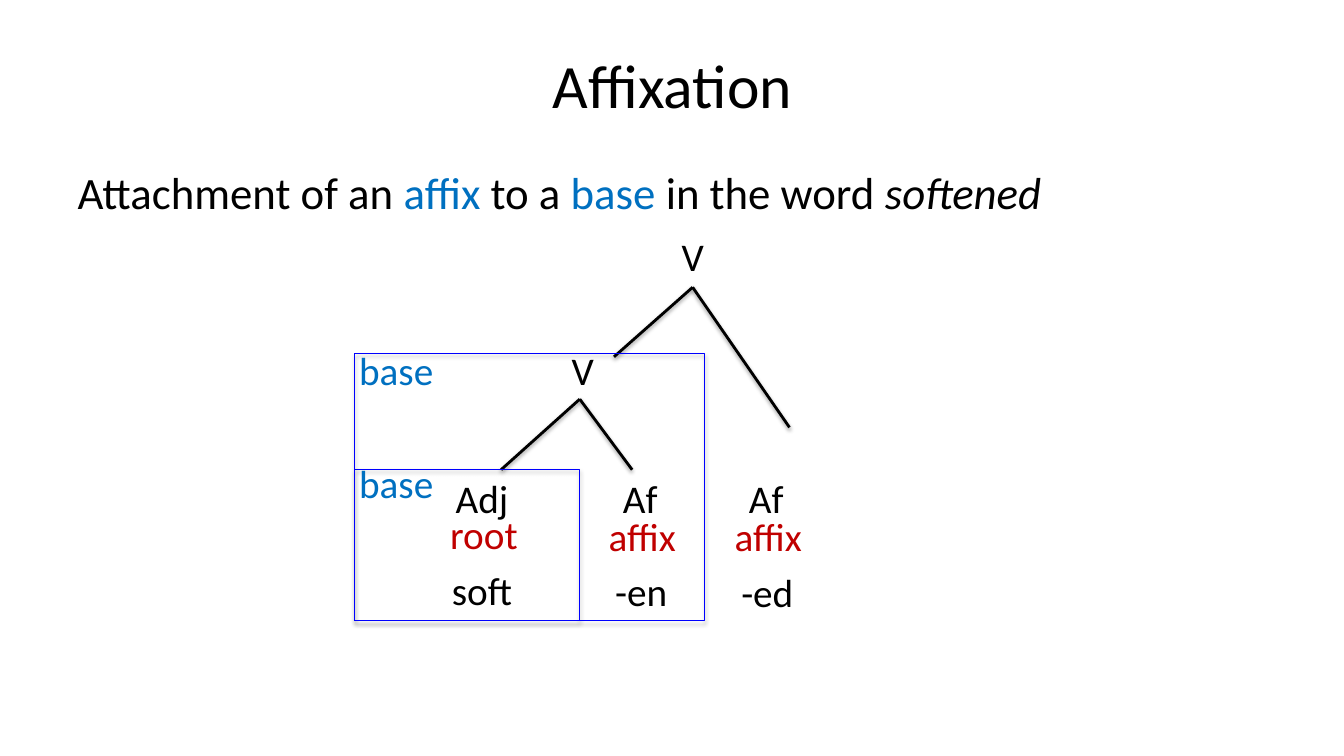
import pptx
import pptx.util
import pptx.dml.color
import pptx.enum.text
import pptx.enum.shapes
import pptx.oxml
import pptx.oxml.ns

Inches, Pt = pptx.util.Inches, pptx.util.Pt
align = pptx.enum.text.PP_ALIGN
hues = {"ink": "000000", "blue": "0070C0", "red": "C00000", "frame": "0000FF"}


def add_run(para, text, size, hue="ink", slant=None):
    run = para.add_run()
    run.text = text
    font = run.font
    font.name, font.size, font.italic = "Calibri", Pt(size), slant
    font.color.rgb = pptx.dml.color.RGBColor.from_string(hues[hue])


def style_line(shape, hue, width, drop, alpha):
    shape.line.color.rgb = pptx.dml.color.RGBColor.from_string(hues[hue])
    shape.line.width = Pt(width)
    shape._element.spPr.append(pptx.oxml.parse_xml(
        f'<a:effectLst {pptx.oxml.ns.nsdecls("a")}>'
        f'<a:outerShdw blurRad="{Pt(3.1)}" dist="{Pt(drop)}" dir="5400000" rotWithShape="0">'
        f'<a:srgbClr val="{hues["ink"]}"><a:alpha val="{alpha}000"/></a:srgbClr>'
        '</a:outerShdw></a:effectLst>'))


deck = pptx.Presentation()
deck.slide_width, deck.slide_height = Inches(13.33), Inches(7.5)
slide = deck.slides.add_slide(deck.slide_layouts[1])
shapes = slide.shapes

title, body = shapes.title, slide.placeholders[1]
for holder, top, height in [(title, 0.3, 1.06), (body, 1.58, 5.12)]:
    holder.left, holder.top = Inches(0.67), Inches(top)
    holder.width, holder.height = Inches(12), Inches(height)

title.text_frame.vertical_anchor = pptx.enum.text.MSO_ANCHOR.MIDDLE
head = title.text_frame.paragraphs[0]
head.alignment = align.CENTER
add_run(head, "Affixation", 44)

lead = body.text_frame.paragraphs[0]
props = lead._p.get_or_add_pPr()
props.set("marL", "0")
props.set("indent", "0")
props.append(pptx.oxml.parse_xml(f'<a:buNone {pptx.oxml.ns.nsdecls("a")}/>'))
for text, hue, slant in [
    ("Attachment of an ", "ink", None),
    ("affix", "blue", None),
    (" to a ", "ink", None),
    ("base ", "blue", None),
    ("in the word ", "ink", None),
    ("softened", "ink", True),
]:
    add_run(lead, text, 32, hue, slant)

for x, y, peak_x, peak_y in [
    (4.97, 4.66, 5.75, 3.96),
    (6.27, 4.66, 5.75, 3.96),
    (6.09, 3.54, 6.87, 2.85),
    (7.83, 4.24, 6.87, 2.85),
]:
    branch = shapes.add_connector(
        pptx.enum.shapes.MSO_CONNECTOR.STRAIGHT,
        Inches(x), Inches(y), Inches(peak_x), Inches(peak_y))
    style_line(branch, "ink", 2, 1.6, 38)

for left, top, width, height in [(3.52, 4.66, 2.23, 1.5), (3.52, 3.51, 3.47, 2.65)]:
    frame = shapes.add_shape(
        pptx.enum.shapes.MSO_SHAPE.RECTANGLE,
        Inches(left), Inches(top), Inches(width), Inches(height))
    frame.fill.background()
    style_line(frame, "frame", 0.75, 1.8, 35)

for text, left, top, width, hue in [
    ("V", 6.29, 2.26, 1.16, "ink"),
    ("V", 5.2, 3.39, 1.16, "ink"),
    ("base", 2.98, 3.39, 1.9, "blue"),
    ("base", 3.35, 4.51, 1.16, "blue"),
    ("Adj", 4.2, 4.66, 1.16, "ink"),
    ("Af", 5.77, 4.66, 1.16, "ink"),
    ("Af", 7.02, 4.66, 1.16, "ink"),
    ("root", 4.31, 5.01, 0.98, "red"),
    ("affix", 5.86, 5.03, 1.02, "red"),
    ("affix", 7.11, 5.03, 1.02, "red"),
    ("soft", 4.2, 5.57, 1.16, "ink"),
    ("-en", 5.85, 5.58, 1.02, "ink"),
    ("-ed", 7.1, 5.59, 1.02, "ink"),
]:
    label = shapes.add_textbox(Inches(left), Inches(top), Inches(width), Inches(0.57))
    label.text_frame.word_wrap = True
    label.text_frame.auto_size = pptx.enum.text.MSO_AUTO_SIZE.SHAPE_TO_FIT_TEXT
    para = label.text_frame.paragraphs[0]
    para.alignment = align.CENTER
    add_run(para, text, 28, hue)

deck.save("out.pptx")
